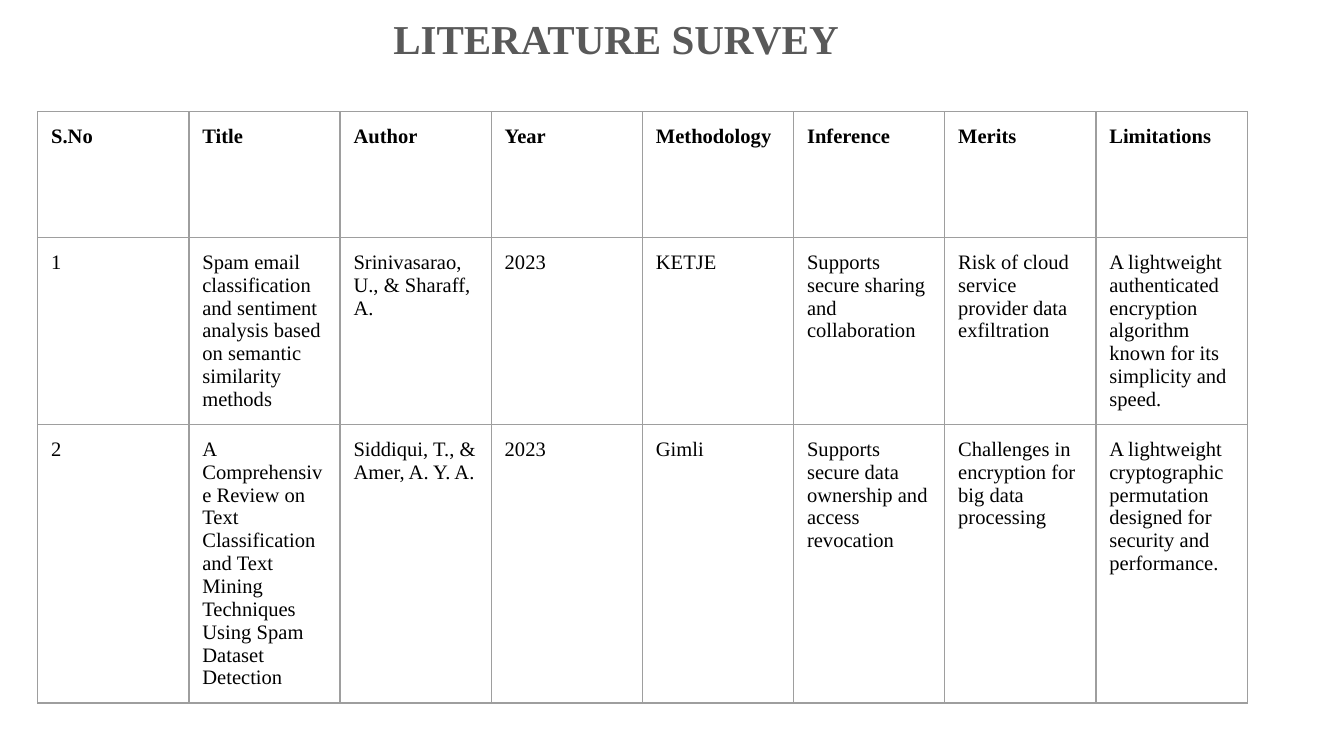
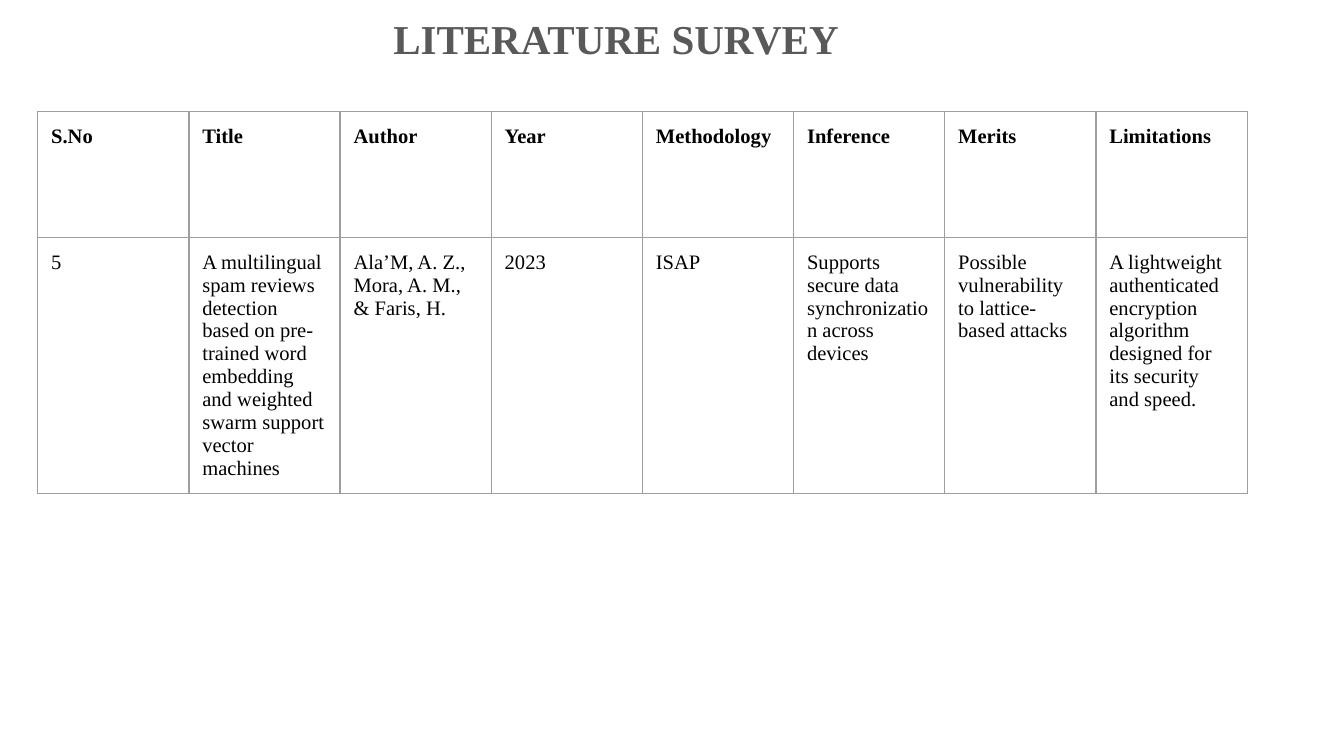
from lxml.etree import SubElement
from pptx import Presentation
from pptx.dml.color import RGBColor
from pptx.enum.text import MSO_ANCHOR, MSO_AUTO_SIZE, PP_ALIGN
from pptx.oxml.ns import qn
from pptx.util import Pt

HUES = {"title": "595959", "text": "000000", "grid": "9E9E9E"}
HEADS = ["S.No", "Title", "Author", "Year", "Methodology",
         "Inference", "Merits", "Limitations"]

# Survey entries, one list per slide
PAGES = [
    [
        ["1",
         "Spam email classification and sentiment analysis based on "
         "semantic similarity methods",
         "Srinivasarao, U., & Sharaff, A.", "2023", "KETJE",
         "Supports secure sharing and collaboration",
         "Risk of cloud service provider data exfiltration",
         "A lightweight authenticated encryption algorithm known for its "
         "simplicity and speed."],
        ["2",
         "A Comprehensive Review on Text Classification and Text Mining "
         "Techniques Using Spam Dataset Detection",
         "Siddiqui, T., & Amer, A. Y. A.", "2023", "Gimli",
         "Supports secure data ownership and access revocation",
         "Challenges in encryption for big data processing",
         "A lightweight cryptographic permutation designed for security "
         "and performance."],
    ],
    [
        ["5",
         "A multilingual spam reviews detection based on pre-trained word "
         "embedding and weighted swarm support vector machines",
         "Ala’M, A. Z., Mora, A. M., & Faris, H.", "2023", "ISAP",
         "Supports secure data synchronization across devices",
         "Possible vulnerability to lattice-based attacks",
         "A lightweight authenticated encryption algorithm designed for "
         "its security and speed."],
    ],
]


class Deck:
    face = "Times New Roman"
    inset = Pt(7.2)
    col, row = Pt(81), Pt(67.5)

    def __init__(self):
        self.prs = Presentation()
        self.prs.slide_width, self.prs.slide_height = Pt(720), Pt(405)
        self.slide = None

    def page(self):
        self.slide = self.prs.slides.add_slide(self.prs.slide_layouts[5])

    def pad(self, box):
        box.margin_left = box.margin_right = self.inset
        box.margin_top = box.margin_bottom = self.inset

    def font(self, para, size, hue, bold):
        font = para.font
        font.name, font.size, font.bold = self.face, Pt(size), bold
        font.color.rgb = RGBColor.from_string(HUES[hue])

    def title(self, text):
        shape = self.slide.shapes.title
        shape.left, shape.top = Pt(10), Pt(0)
        shape.width, shape.height = Pt(640), Pt(80)
        frame = shape.text_frame
        frame.text = text
        frame.word_wrap = True
        frame.auto_size = MSO_AUTO_SIZE.NONE
        frame.vertical_anchor = MSO_ANCHOR.TOP
        self.pad(frame)
        para = frame.paragraphs[0]
        para.alignment = PP_ALIGN.CENTER
        self.font(para, 22, "title", True)

    def edge(self, cell):
        # Borders come before the fill in the cell properties
        props = cell._tc.get_or_add_tcPr()
        for at, side in enumerate(("lnL", "lnR", "lnT", "lnB")):
            line = SubElement(props, qn(f"a:{side}"), w=str(Pt(0.75)))
            fill = SubElement(line, qn("a:solidFill"))
            SubElement(fill, qn("a:srgbClr"), val=HUES["grid"])
            props.insert(at, line)

    def table(self, rows):
        grid = self.slide.shapes.add_table(
            len(rows), len(HEADS), Pt(20.2), Pt(59.8),
            self.col * len(HEADS), self.row * len(rows)).table
        grid.first_row = grid.horz_banding = False
        for col in grid.columns:
            col.width = self.col
        for r, texts in enumerate(rows):
            grid.rows[r].height = self.row
            for c, text in enumerate(texts):
                cell = grid.cell(r, c)
                cell.text = text
                cell.fill.background()
                self.pad(cell)
                self.edge(cell)
                self.font(cell.text_frame.paragraphs[0], 11, "text", r == 0)


def main():
    deck = Deck()
    for rows in PAGES:
        deck.page()
        deck.title("LITERATURE SURVEY")
        deck.table([HEADS] + rows)
    deck.prs.save("out.pptx")


if __name__ == "__main__":
    main()
